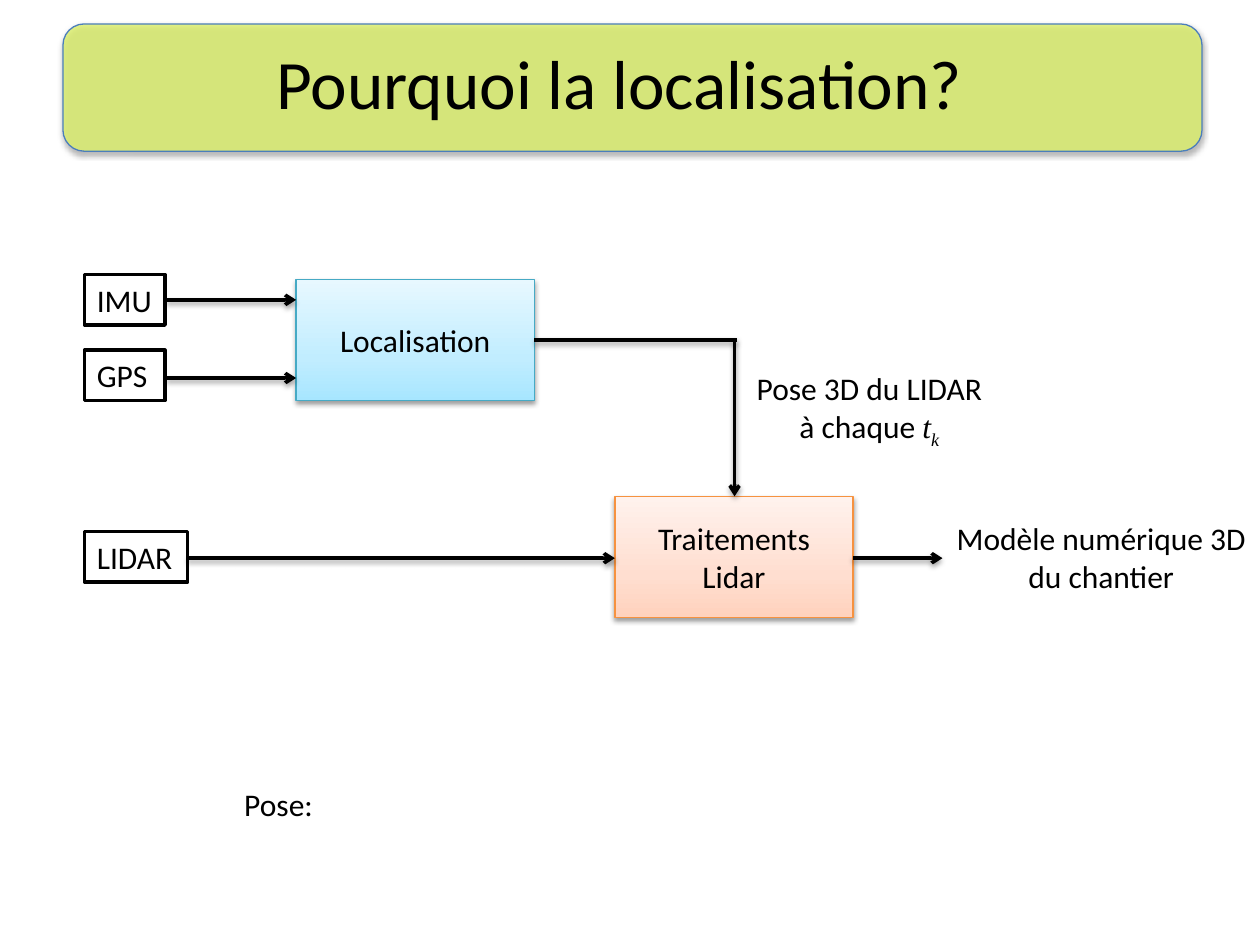
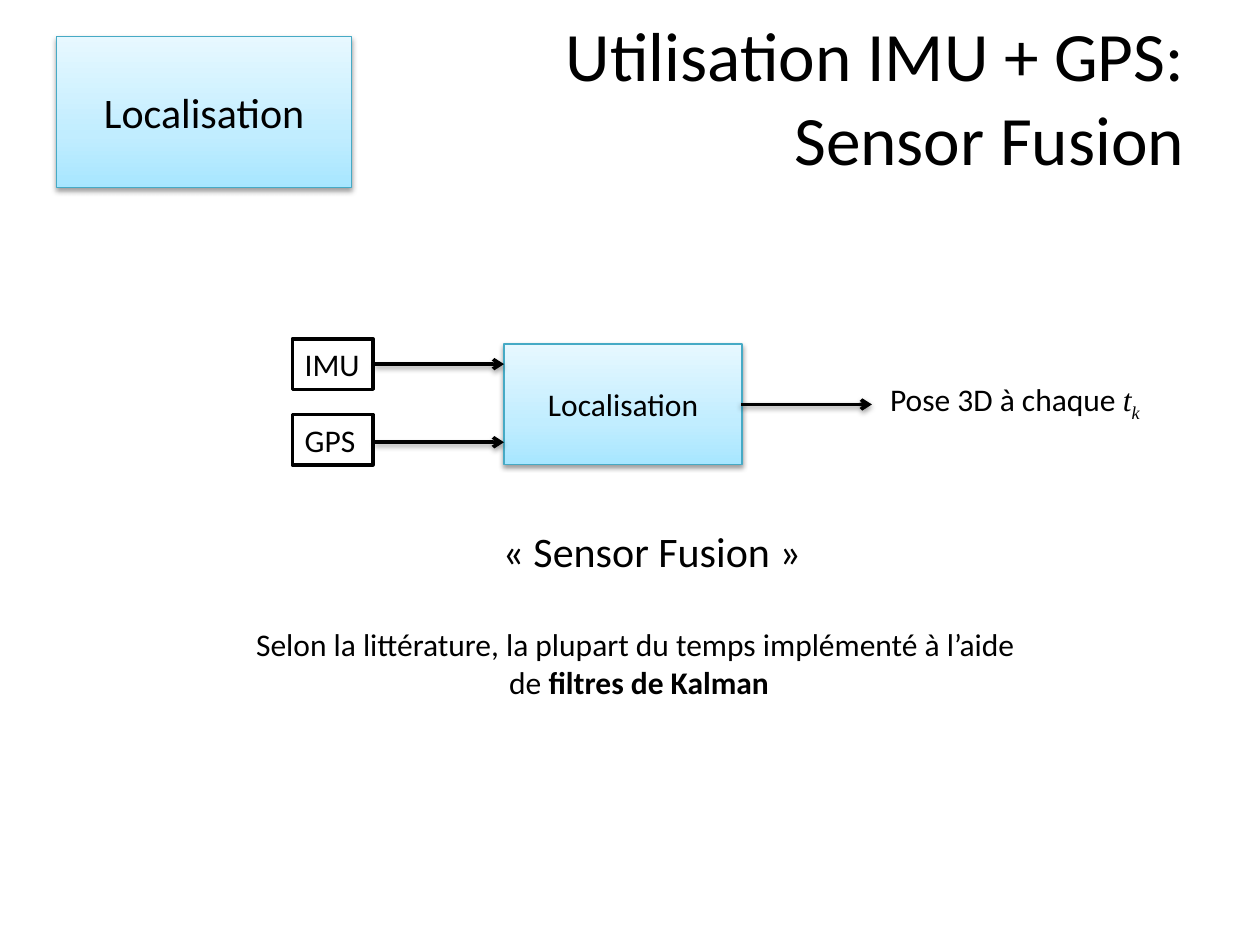
from copy import deepcopy

from lxml import etree
from pptx import Presentation
from pptx.dml.color import RGBColor
from pptx.enum.shapes import MSO_CONNECTOR as CONN, MSO_SHAPE as SHAPE
from pptx.enum.text import MSO_ANCHOR as ANCHOR, MSO_AUTO_SIZE as AUTO, PP_ALIGN as ALIGN
from pptx.oxml.ns import qn
from pptx.util import Inches, Pt

BLACK, WHITE = "000000", "FFFFFF"
BAND, BAND_LINE = "DEF26A", "4B7EBC"
BLUE = {"stops": [(0, "A7E6FF"), (0.35, "C1EDFF"), (1, "E7F8FF")], "line": "46AAC5"}
ORANGE = {"stops": [(0, "FFD2BD"), (0.35, "FFDED0"), (1, "FFF2ED")], "line": "F69240"}
TITLE, LARGE, BODY = 39.6, 24, 18
BLOCK = (1.89, 0.96)
LABEL_H = 0.4
MATH = {"name": "Times New Roman", "italic": True}
T_K = [("t", MATH), ("k", {**MATH, "baseline": -25})]


def rgb(color):
    return RGBColor.from_string(color)


def sub(parent, tag, **attrs):
    return etree.SubElement(parent, qn(tag), {k: str(v) for k, v in attrs.items()})


def as_runs(line):
    return [(line, {})] if isinstance(line, str) else line


class Deck:
    """Holds the shared style and the slide being filled."""

    def __init__(self):
        self.prs = Presentation()
        self.prs.slide_width, self.prs.slide_height = Inches(10), Inches(7.5)
        self.s = None

    def new_slide(self):
        self.s = self.prs.slides.add_slide(self.prs.slide_layouts[6])

    def shadow(self, sp, alpha=38, dist=1.6):
        spPr = sp._element.spPr
        effects = spPr.find(qn("a:effectLst"))
        if effects is None:
            effects = sub(spPr, "a:effectLst")
        outer = sub(effects, "a:outerShdw", blurRad=Pt(3.1), dist=Pt(dist),
                    dir=5400000, rotWithShape=0)
        sub(sub(outer, "a:srgbClr", val=BLACK), "a:alpha", val=alpha * 1000)

    def put_text(self, sp, lines, size=BODY, align=ALIGN.CENTER, anchor=ANCHOR.TOP,
                 wrap=True, grow=False):
        """Each line is a string or a list of (text, format) runs; \\v breaks a line."""
        tf = sp.text_frame
        frame = {"word_wrap": wrap, "vertical_anchor": anchor,
                 "auto_size": AUTO.SHAPE_TO_FIT_TEXT if grow else AUTO.NONE}
        for key, value in frame.items():
            setattr(tf, key, value)
        for i, line in enumerate(lines):
            p = tf.add_paragraph() if i else tf.paragraphs[0]
            p.alignment = align
            for text, fmt in as_runs(line):
                for j, part in enumerate(text.split("\v")):
                    if j:
                        p.add_line_break()
                    self.add_run(p, part, size, fmt)

    def add_run(self, p, text, size, fmt):
        r = p.add_run()
        r.text = text
        r.font.color.rgb = rgb(BLACK)
        for key, value in {"name": "Calibri", "size": Pt(size), **fmt}.items():
            if key == "baseline":
                r._r.get_or_add_rPr().set(key, str(value * 1000))
            else:
                setattr(r.font, key, value)

    def shape(self, kind, x, y, w, h, line, width):
        sp = self.s.shapes.add_shape(kind, *map(Inches, (x, y, w, h)))
        sp.shadow.inherit = False
        sp.line.color.rgb = rgb(line)
        sp.line.width = Pt(width)
        return sp

    def text(self, x, y, w, h, lines, **style):
        sp = self.s.shapes.add_textbox(*map(Inches, (x, y, w, h)))
        self.put_text(sp, lines, **style)

    def title(self, x, w, h, text, align):
        self.text(x, 0.3, w, h, [text], size=TITLE, align=align, anchor=ANCHOR.MIDDLE)

    def band(self):
        sp = self.shape(SHAPE.ROUNDED_RECTANGLE, 0.5, 0.19, 9.04, 1.01, BAND_LINE, 0.75)
        sp.fill.solid()
        sp.fill.fore_color.rgb = rgb(BAND)
        color = sp._element.spPr.find(qn("a:solidFill")).find(qn("a:srgbClr"))
        sub(color, "a:alpha", val=79000)
        self.shadow(sp, alpha=35, dist=1.8)

    def block(self, x, y, lines, look=BLUE, dims=BLOCK, size=BODY):
        """Process step with a vertical gradient."""
        sp = self.shape(SHAPE.RECTANGLE, x, y, *dims, look["line"], 0.75)
        sp.fill.gradient()
        sp.fill.gradient_angle = 90
        stops = sp._element.spPr.find(".//" + qn("a:gsLst"))
        stops.append(deepcopy(stops[0]))
        for stop, (position, color) in zip(sp.fill.gradient_stops, look["stops"]):
            stop.position = position
            stop.color.rgb = rgb(color)
        self.shadow(sp)
        self.put_text(sp, lines, size=size, anchor=ANCHOR.MIDDLE)

    def sensor(self, x, y, name, w=0.64):
        sp = self.shape(SHAPE.RECTANGLE, x, y, w, LABEL_H, BLACK, 2)
        sp.fill.solid()
        sp.fill.fore_color.rgb = rgb(WHITE)
        self.put_text(sp, [name], align=ALIGN.LEFT, wrap=False, grow=True)

    def line(self, x1, y1, x2, y2, arrow=True):
        c = self.s.shapes.add_connector(CONN.STRAIGHT, *map(Inches, (x1, y1, x2, y2)))
        c.line.color.rgb = rgb(BLACK)
        c.line.width = Pt(2)
        if arrow:
            sub(c._element.spPr.find(qn("a:ln")), "a:tailEnd", type="arrow")
        self.shadow(c)

    def localisation(self, x, y):
        """IMU and GPS feeding the localisation block; x, y is the IMU corner."""
        self.block(x + 1.68, y + 0.04, ["Localisation"])
        for name, label_dy, arrow_dy in (("IMU", 0, 0.2), ("GPS", 0.6, 0.82)):
            self.sensor(x, y + label_dy, name)
            self.line(x + 0.65, y + arrow_dy, x + 1.68, y + arrow_dy)


def why_slide(d):
    d.new_slide()
    d.band()
    d.title(0.5, 8.83, 0.69, "Pourquoi la localisation?", ALIGN.CENTER)
    d.localisation(0.67, 2.18)
    d.line(4.24, 2.7, 5.85, 2.7, arrow=False)
    d.text(7.48, 4.07, 2.52, 0.71, ["Modèle numérique 3D", "du chantier"],
           wrap=False, grow=True)
    d.block(4.88, 3.94, ["Traitements", "Lidar"], ORANGE)
    d.sensor(0.67, 4.22, "LIDAR", w=0.82)
    d.line(1.49, 4.43, 4.88, 4.43)
    d.line(6.77, 4.43, 7.48, 4.43)
    d.line(5.83, 2.7, 5.83, 3.94)
    d.text(5.87, 2.88, 2.06, 0.71, [[("Pose 3D du LIDAR à chaque ", {}), *T_K]], grow=True)
    d.text(1.84, 6.18, 0.76, LABEL_H, ["Pose:"], align=ALIGN.LEFT, wrap=False, grow=True)


def fusion_slide(d):
    d.new_slide()
    d.localisation(2.32, 2.69)
    d.text(3.89, 4.12, 2.6, 0.5, ["« Sensor Fusion »"], size=LARGE,
           align=ALIGN.LEFT, wrap=False, grow=True)
    d.text(1.88, 4.91, 6.33, 0.71,
           ["Selon la littérature, la plupart du temps implémenté à l’aide",
            [(" de ", {}), ("filtres de Kalman", {"bold": True})]],
           wrap=False, grow=True)
    d.line(5.88, 3.21, 6.92, 3.21)
    d.text(6.92, 2.97, 2.27, LABEL_H, [[("Pose 3D à chaque ", {}), *T_K]], grow=True)
    d.block(0.45, 0.29, ["Localisation"], dims=(2.34, 1.2), size=LARGE)
    d.title(3.25, 6.25, 0.92, "Utilisation IMU + GPS:\vSensor Fusion", ALIGN.RIGHT)


def main():
    d = Deck()
    why_slide(d)
    fusion_slide(d)
    d.prs.save("out.pptx")


if __name__ == "__main__":
    main()
